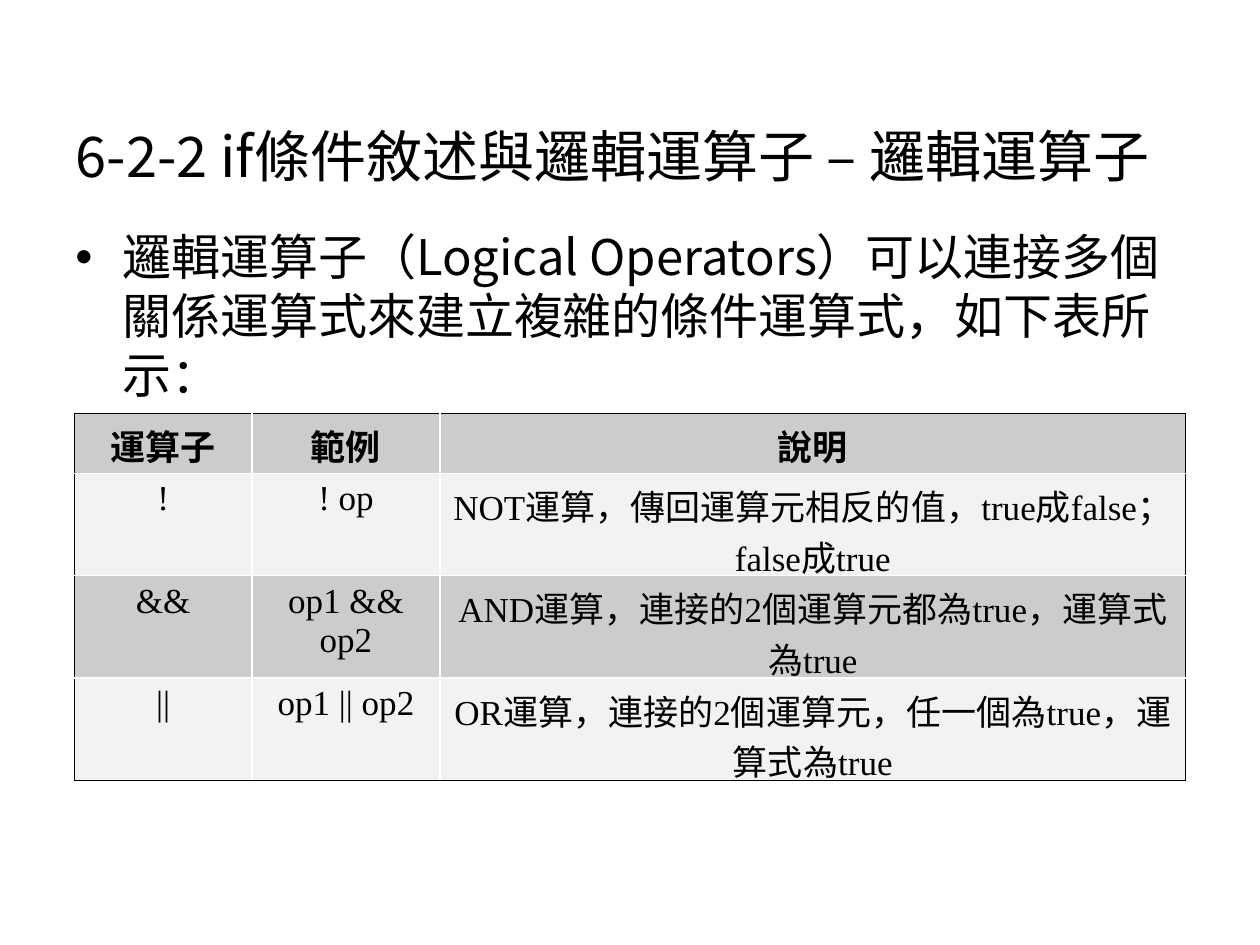
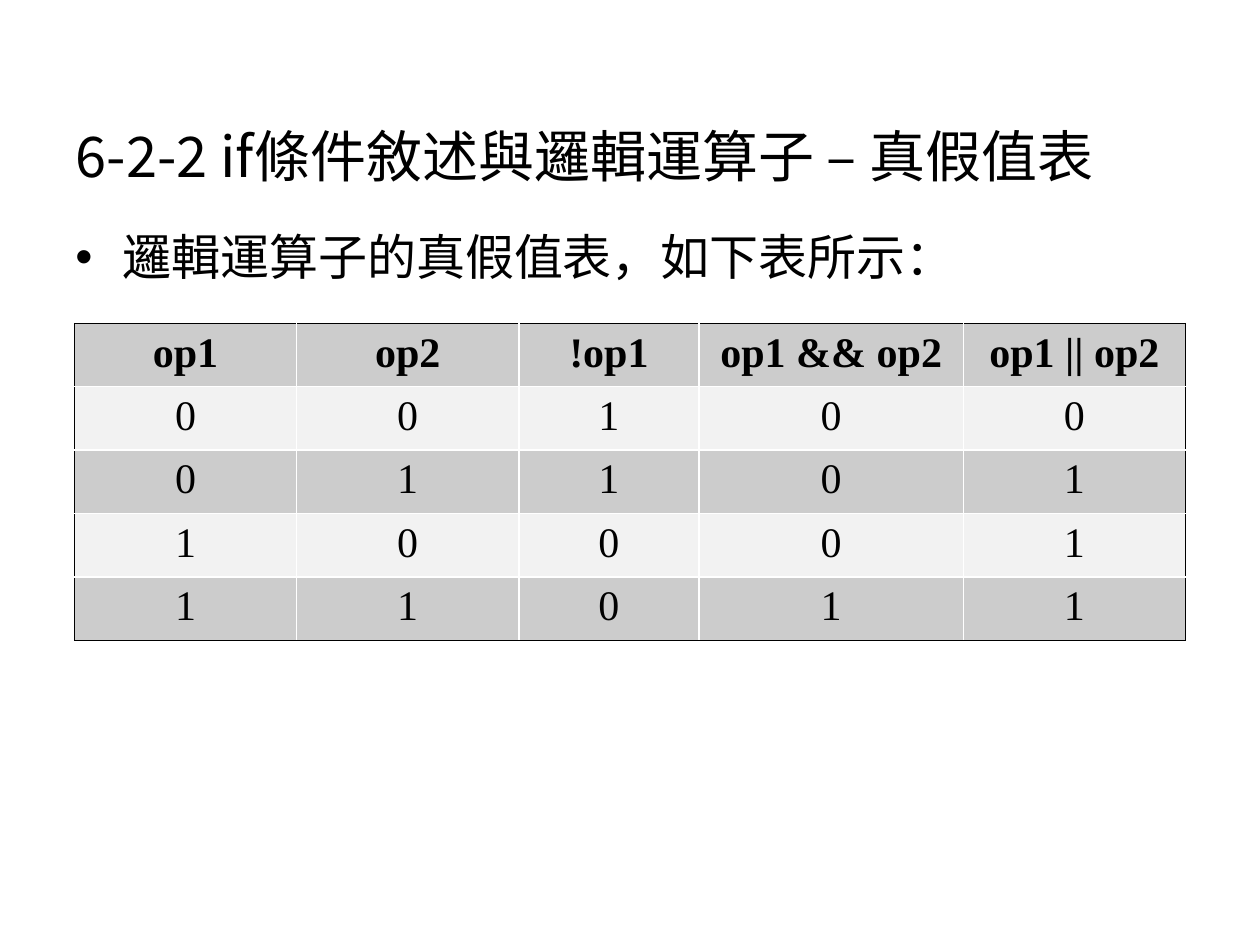
from dataclasses import dataclass

from lxml.etree import SubElement
from pptx import Presentation
from pptx.dml.color import RGBColor
from pptx.enum.text import MSO_ANCHOR, MSO_AUTO_SIZE, PP_ALIGN
from pptx.oxml.ns import qn
from pptx.slide import Slide
from pptx.table import _Cell
from pptx.text.text import TextFrame
from pptx.util import Pt

SANS = "Noto Sans CJK SC"
SERIF = "Times New Roman"
BLACK = "000000"
WHITE = "FFFFFF"
DARK_BAND = "CCCCCC"
LIGHT_BAND = "F2F2F2"
TITLE_PREFIX = "6-2-2 if條件敘述與邏輯運算子 – "
TABLE_LEFT = 42.5


@dataclass(frozen=True)
class OperatorTable:
    top: float
    column_widths: tuple[float, ...]
    row_heights: tuple[float, ...]
    font_size: int
    rows: tuple[tuple[str, ...], ...]


@dataclass(frozen=True)
class Lesson:
    topic: str
    intro: str
    table: OperatorTable


LESSONS = (
    Lesson(
        "邏輯運算子",
        "邏輯運算子（Logical Operators）可以連接多個關係運算式來建立複雜的條件運算式，如下表所示：",
        OperatorTable(
            236,
            (101.5, 107.5, 426),
            (34.5, 58.5, 58.5, 58.5),
            20,
            (
                ("運算子", "範例", "說明"),
                ("!", "! op", "NOT運算，傳回運算元相反的值，true成false；false成true"),
                ("&&", "op1 && op2", "AND運算，連接的2個運算元都為true，運算式為true"),
                ("||", "op1 || op2", "OR運算，連接的2個運算元，任一個為true，運算式為true"),
            ),
        ),
    ),
    Lesson(
        "真假值表",
        "邏輯運算子的真假值表，如下表所示：",
        OperatorTable(
            184.75,
            (127, 127, 103, 151, 127),
            (36.25,) * 5,
            24,
            (
                ("op1", "op2", "!op1", "op1 && op2", "op1 || op2"),
                ("0", "0", "1", "0", "0"),
                ("0", "1", "1", "0", "1"),
                ("1", "0", "0", "0", "1"),
                ("1", "1", "0", "1", "1"),
            ),
        ),
    ),
)


def color(value: str) -> RGBColor:
    return RGBColor.from_string(value)


def write(
    frame: TextFrame,
    text: str,
    *,
    size: float,
    font: str = SANS,
    bold: bool = False,
    align: PP_ALIGN = PP_ALIGN.LEFT,
    space_before: float = 0,
    bullet_indent: float = 0,
) -> None:
    frame.word_wrap = True
    paragraph = frame.paragraphs[0]
    paragraph.alignment = align
    paragraph.space_before = Pt(space_before)
    run = paragraph.add_run()
    run.text = text
    run.font.size = Pt(size)
    run.font.name = font
    run.font.bold = bold
    run.font.color.rgb = color(BLACK)
    SubElement(run.font._element, qn("a:ea"), typeface=SANS)
    if bullet_indent:
        properties = paragraph._p.get_or_add_pPr()
        properties.set("marL", str(Pt(bullet_indent)))
        properties.set("indent", str(-Pt(bullet_indent)))
        SubElement(properties, qn("a:buFont"), typeface="Arial")
        SubElement(properties, qn("a:buChar"), char="•")


def add_title(slide: Slide, topic: str) -> None:
    title = slide.shapes.title
    title.left, title.top, title.width, title.height = Pt(36), Pt(21.6), Pt(648), Pt(90)
    frame = title.text_frame
    frame.auto_size = MSO_AUTO_SIZE.NONE
    frame.vertical_anchor = MSO_ANCHOR.BOTTOM
    write(frame, TITLE_PREFIX + topic, size=32)


def add_intro(slide: Slide, intro: str) -> None:
    box = slide.shapes.add_textbox(Pt(36), Pt(126), Pt(648), Pt(356.4))
    write(box.text_frame, intro, size=28, space_before=7, bullet_indent=27)


def set_border(cell: _Cell, side: str, is_outer: bool) -> None:
    width, value = (0.45, BLACK) if is_outer else (0.96, WHITE)
    line = SubElement(cell._tc.get_or_add_tcPr(), qn(f"a:ln{side}"), w=str(Pt(width)))
    fill = SubElement(line, qn("a:solidFill"))
    SubElement(fill, qn("a:srgbClr"), val=value)


def add_operator_table(slide: Slide, content: OperatorTable) -> None:
    row_count, column_count = len(content.rows), len(content.column_widths)
    table = slide.shapes.add_table(
        row_count,
        column_count,
        Pt(TABLE_LEFT),
        Pt(content.top),
        Pt(sum(content.column_widths)),
        Pt(sum(content.row_heights)),
    ).table
    for column, width in zip(table.columns, content.column_widths):
        column.width = Pt(width)
    for row, height in zip(table.rows, content.row_heights):
        row.height = Pt(height)
    for row_index, texts in enumerate(content.rows):
        for column_index, text in enumerate(texts):
            cell = table.cell(row_index, column_index)
            outer_sides = {
                "L": column_index == 0,
                "R": column_index == column_count - 1,
                "T": row_index == 0,
                "B": row_index == row_count - 1,
            }
            for side, is_outer in outer_sides.items():
                set_border(cell, side, is_outer)
            cell.fill.solid()
            cell.fill.fore_color.rgb = color(LIGHT_BAND if row_index % 2 else DARK_BAND)
            write(
                cell.text_frame,
                text,
                size=content.font_size,
                font=SERIF,
                bold=row_index == 0,
                align=PP_ALIGN.CENTER,
            )


def main() -> None:
    presentation = Presentation()
    presentation.slide_width, presentation.slide_height = Pt(720), Pt(540)
    for lesson in LESSONS:
        slide = presentation.slides.add_slide(presentation.slide_layouts[5])
        add_title(slide, lesson.topic)
        add_intro(slide, lesson.intro)
        add_operator_table(slide, lesson.table)
    presentation.save("out.pptx")


if __name__ == "__main__":
    main()
